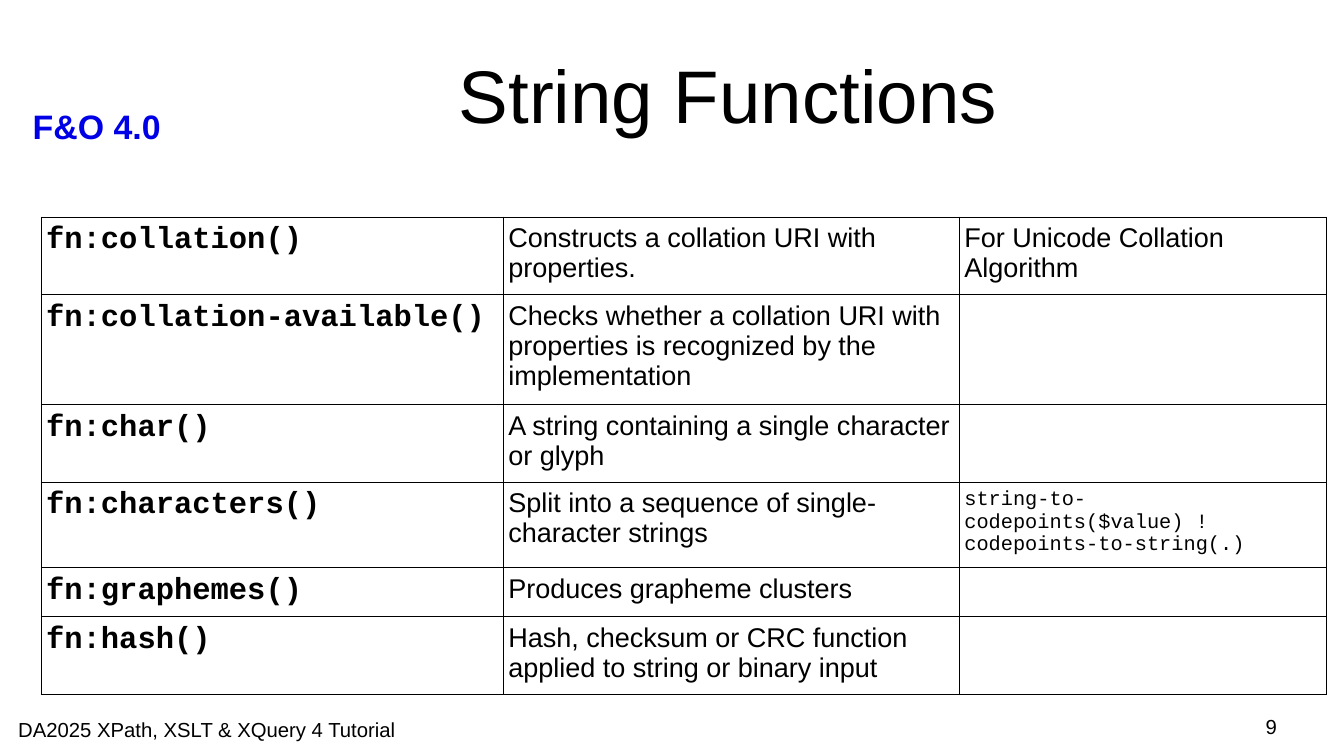
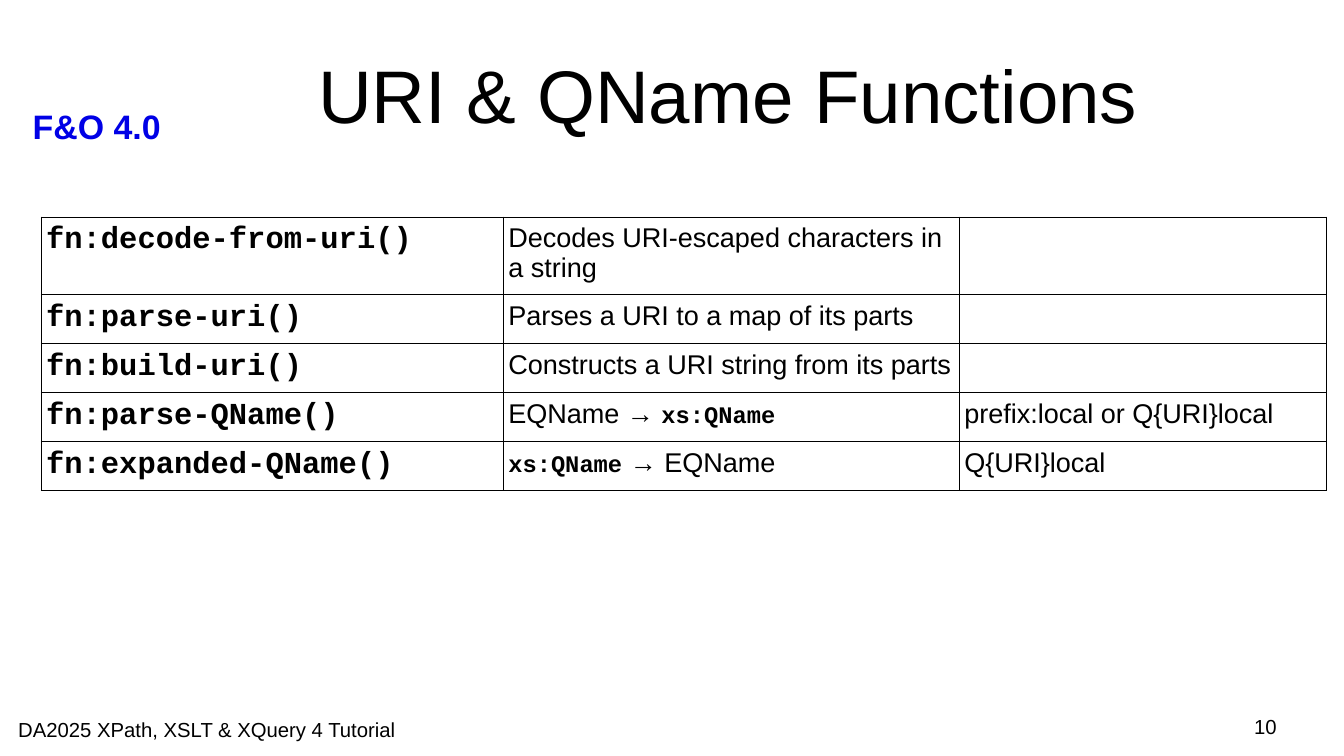
from lxml import etree
from pptx import Presentation
from pptx.dml.color import RGBColor
from pptx.enum.text import MSO_ANCHOR, PP_ALIGN
from pptx.oxml.ns import qn
from pptx.util import Cm, Pt

LEFT, CENTER, RIGHT = PP_ALIGN.LEFT, PP_ALIGN.CENTER, PP_ALIGN.RIGHT
TOP, MIDDLE = MSO_ANCHOR.TOP, MSO_ANCHOR.MIDDLE

BLACK, BLUE = "000000", "0000E6"
SANS, MONO = "Arial", "Courier New"

BADGE = "F&O 4.0"
FOOTER = "DA2025 XPath, XSLT & XQuery 4 Tutorial"
FIRST_NUMBER = 9

NAME = {"font": MONO, "size": 18, "bold": True}
BODY = {"size": 16}
CODE = {"font": MONO, "size": 12}
TYPE = {"font": MONO, "size": 14, "bold": True}

ONE_LINE, TWO_LINES, THREE_LINES, CODE_LINES = 1.02, 1.61, 2.27, 1.77
COLUMN_WIDTHS = (9.63, 9.5, 7.65)
TABLE_LEFT, TABLE_TOP = 0.86, 4.52

SLIDES = [
    ("String Functions", [
        (TWO_LINES, "fn:collation()", "Constructs a collation URI with properties.",
         "For Unicode Collation Algorithm"),
        (THREE_LINES, "fn:collation-available()",
         "Checks whether a collation URI with properties is recognized by the implementation", ""),
        (TWO_LINES, "fn:char()", "A string containing a single character or glyph", ""),
        (CODE_LINES, "fn:characters()", "Split into a sequence of single-character strings",
         [("string-to-codepoints($value) ! codepoints-to-string(.)", CODE)]),
        (ONE_LINE, "fn:graphemes()", "Produces grapheme clusters", ""),
        (TWO_LINES, "fn:hash()",
         "Hash, checksum or CRC function applied to string or binary input", ""),
    ]),
    ("URI & QName Functions", [
        (TWO_LINES, "fn:decode-from-uri()", "Decodes URI-escaped characters in a string", ""),
        (ONE_LINE, "fn:parse-uri()", "Parses a URI to a map of its parts", ""),
        (ONE_LINE, "fn:build-uri()", "Constructs a URI string from its parts", ""),
        (ONE_LINE, "fn:parse-QName()", [("EQName → ", BODY), ("xs:QName", TYPE)],
         "prefix:local or Q{URI}local"),
        (ONE_LINE, "fn:expanded-QName()", [("xs:QName", TYPE), (" → EQName", BODY)],
         "Q{URI}local"),
    ]),
]


def color(value):
    return RGBColor.from_string(value)


def add_text(paragraph, text, font=SANS, size=16, bold=False, fill=BLACK):
    run = paragraph.add_run()
    run.text = text
    run.font.name = font
    run.font.size = Pt(size)
    run.font.bold = bold
    run.font.color.rgb = color(fill)


def add_box(slide, text, left, top, width, height, align=LEFT, anchor=TOP,
            inset=(0, 0), wrap=True, **text_format):
    shape = slide.shapes.add_textbox(Cm(left), Cm(top), Cm(width), Cm(height))
    frame = shape.text_frame
    frame.word_wrap = wrap
    frame.vertical_anchor = anchor
    frame.margin_left = frame.margin_right = Cm(inset[0])
    frame.margin_top = frame.margin_bottom = Cm(inset[1])
    paragraph = frame.paragraphs[0]
    paragraph.alignment = align
    add_text(paragraph, text, **text_format)


def style_cell(cell):
    cell.margin_left = cell.margin_right = Cm(0.1)
    cell.margin_top = cell.margin_bottom = Cm(0.13)
    properties = cell._tc.get_or_add_tcPr()
    for side in ("a:lnL", "a:lnR", "a:lnT", "a:lnB"):
        line = etree.SubElement(properties, qn(side), w=str(Pt(0.57)))
        fill = etree.SubElement(line, qn("a:solidFill"))
        etree.SubElement(fill, qn("a:srgbClr"), val=BLACK)
    cell.fill.background()


def add_function_table(slide, rows):
    heights = [row[0] for row in rows]
    table = slide.shapes.add_table(
        len(rows), len(COLUMN_WIDTHS), Cm(TABLE_LEFT), Cm(TABLE_TOP),
        Cm(sum(COLUMN_WIDTHS)), Cm(sum(heights))).table
    table.first_row = False
    table.horz_banding = False
    for column, width in zip(table.columns, COLUMN_WIDTHS):
        column.width = Cm(width)
    for table_row, (height, *contents) in zip(table.rows, rows):
        table_row.height = Cm(height)
        for cell, content, text_format in zip(table_row.cells, contents, (NAME, BODY, BODY)):
            style_cell(cell)
            if isinstance(content, str):
                content = [(content, text_format)] if content else []
            for text, run_format in content:
                add_text(cell.text_frame.paragraphs[0], text, **run_format)


def add_frame(slide, title, number):
    add_box(slide, BADGE, 0.43, 2.08, 3.5, 1.04, inset=(0.25, 0.13), wrap=False,
            size=20, bold=True, fill=BLUE)
    add_box(slide, title, 3.76, 0.64, 22.83, 2.64, align=CENTER, anchor=MIDDLE, size=44)
    add_box(slide, FOOTER, 0.38, 14.94, 8.86, 0.48, size=12)
    add_box(slide, str(number), 20.07, 14.88, 6.53, 0.61, align=RIGHT, size=12)


def main():
    presentation = Presentation()
    presentation.slide_width = Cm(28)
    presentation.slide_height = Cm(15.75)
    for number, (title, rows) in enumerate(SLIDES, FIRST_NUMBER):
        slide = presentation.slides.add_slide(presentation.slide_layouts[6])
        add_frame(slide, title, number)
        add_function_table(slide, rows)
    presentation.save("out.pptx")


if __name__ == "__main__":
    main()
